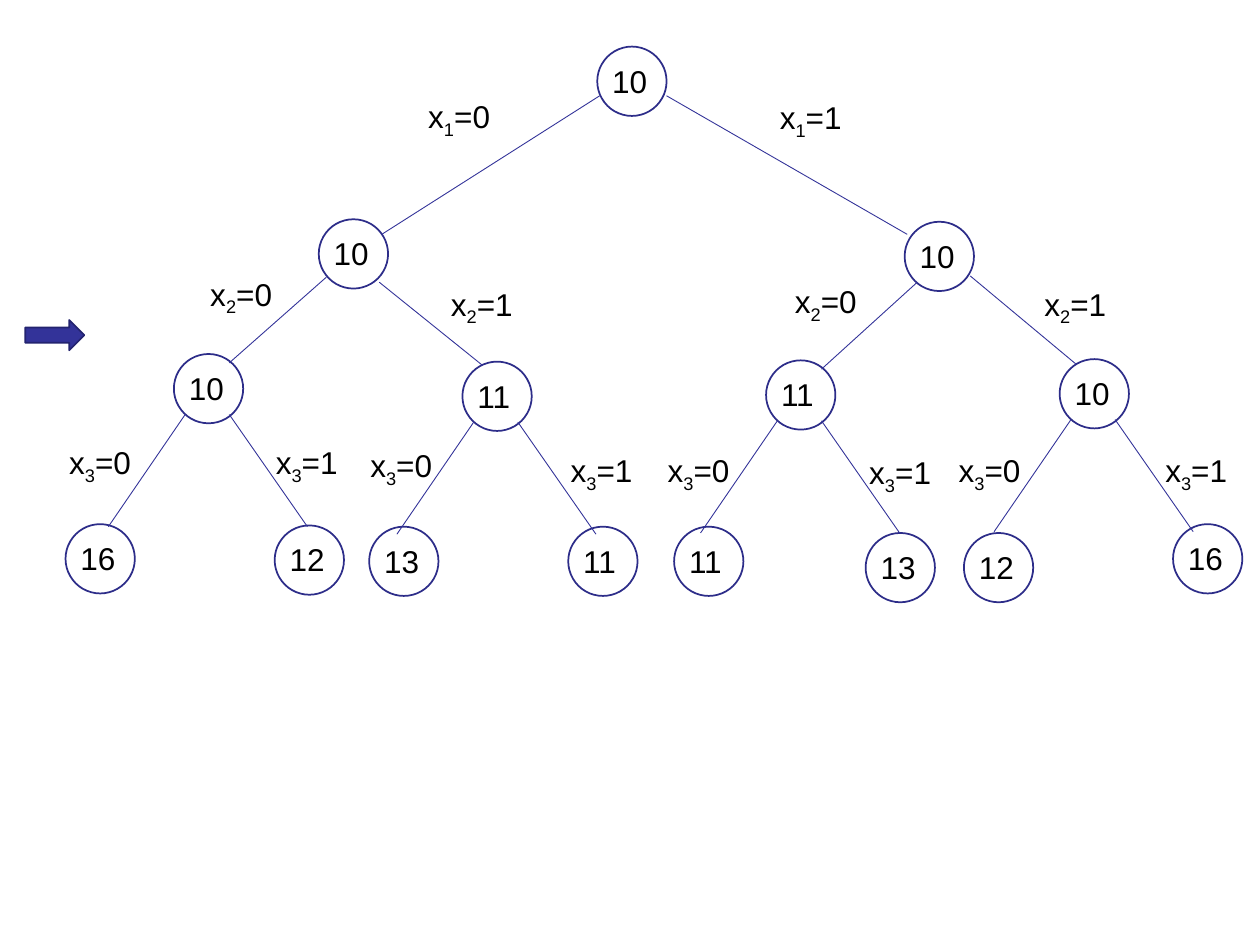
from lxml.etree import SubElement
from pptx import Presentation
from pptx.dml.color import RGBColor
from pptx.enum.shapes import MSO_CONNECTOR as Link, MSO_SHAPE as Shape
from pptx.enum.text import MSO_AUTO_SIZE as Fit
from pptx.oxml.ns import qn
from pptx.util import Inches, Pt

# Binary tree in level order: the children of node i are 2i + 1 and 2i + 2.
# Each node: value, left, top
NODES = [
    (10, 4.74, 0.37),
    (10, 2.53, 1.74), (10, 7.18, 1.76),
    (10, 1.38, 2.81), (11, 3.67, 2.87), (11, 6.08, 2.86), (10, 8.41, 2.85),
    (16, 0.52, 4.16), (12, 2.18, 4.17), (13, 2.93, 4.18), (11, 4.51, 4.18),
    (11, 5.35, 4.18), (13, 6.87, 4.23), (12, 7.65, 4.23), (16, 9.31, 4.16),
]
# Left and top of the label on the branch into each node after the root
LABELS = [
    (3.3, 0.72), (6.09, 0.73),
    (1.57, 2.13), (3.48, 2.21), (6.21, 2.19), (8.19, 2.21),
    (0.45, 3.47), (2.09, 3.47), (2.84, 3.49), (4.43, 3.53),
    (5.2, 3.53), (6.8, 3.55), (7.51, 3.53), (9.15, 3.53),
]
# Branches of the two upper levels: start and end
UPPER = [
    (4.76, 0.76, 3.03, 1.86), (5.29, 0.76, 7.2, 1.86),
    (2.59, 2.2, 1.82, 2.88), (3.01, 2.24, 3.83, 2.9),
    (7.28, 2.24, 6.52, 2.93), (7.7, 2.19, 8.54, 2.89),
]
# Branches to the leaves: start offset in the parent node, then run and fall
LEAF = [(0.09, 0.48, -0.61, 0.89), (0.44, 0.48, 0.62, 0.89)]
SIZE = 0.55
BLUE, RIM, EDGE = "333399", "2D2D89", "23236F"


def color(code):
    return RGBColor.from_string(code)


def add_form(slide, kind, box, fill, line):
    form = slide.shapes.add_shape(kind, *map(Inches, box))
    form.shadow.inherit = False
    form.fill.solid()
    form.fill.fore_color.rgb = color(fill)
    form.line.color.rgb = color(line)
    form.line.width = Pt(1)


def add_text(slide, box, parts, wrap):
    """Add a text box; the second part, if any, is a subscript."""
    frame = slide.shapes.add_textbox(*map(Inches, box)).text_frame
    frame.word_wrap = wrap
    frame.auto_size = Fit.SHAPE_TO_FIT_TEXT
    para = frame.paragraphs[0]
    para.font.name = "Arial"
    para.font.size = Pt(18)
    para.font.color.rgb = color("000000")
    for i, part in enumerate(parts):
        run = para.add_run()
        run.text = part
        if i == 1:
            run.font._element.set("baseline", "-25000")


def add_branch(slide, ends):
    line = slide.shapes.add_connector(Link.STRAIGHT, *map(Inches, ends))
    line.line.color.rgb = color(BLUE)
    line.line.width = Pt(0.5)
    SubElement(line._element.spPr, qn("a:effectLst"))


def leaf_ends(i):
    """Ends of the branch that leads to leaf i."""
    _, left, top = NODES[(i - 1) // 2]
    dx, dy, run, fall = LEAF[(i - 1) % 2]
    return left + dx, top + dy, left + dx + run, top + dy + fall


def main():
    deck = Presentation()
    deck.slide_width, deck.slide_height = Inches(10), Inches(7.5)
    slide = deck.slides.add_slide(deck.slide_layouts[6])

    add_form(slide, Shape.RIGHT_ARROW, (0.2, 2.54, 0.47, 0.24), BLUE, EDGE)
    for value, left, top in NODES:
        add_form(slide, Shape.OVAL, (left, top, SIZE, SIZE), "FFFFFF", RIM)
        add_text(slide, (left + 0.02, top + 0.07, 0.51, 0.4), [str(value)], True)

    for i, (left, top) in enumerate(LABELS, 1):
        add_branch(slide, UPPER[i - 1] if i <= len(UPPER) else leaf_ends(i))
        depth = (i + 1).bit_length() - 1
        parts = ["x", str(depth), f"={(i - 1) % 2}"]
        add_text(slide, (left, top, 0.69, 0.44), parts, False)

    deck.save("out.pptx")


if __name__ == "__main__":
    main()
